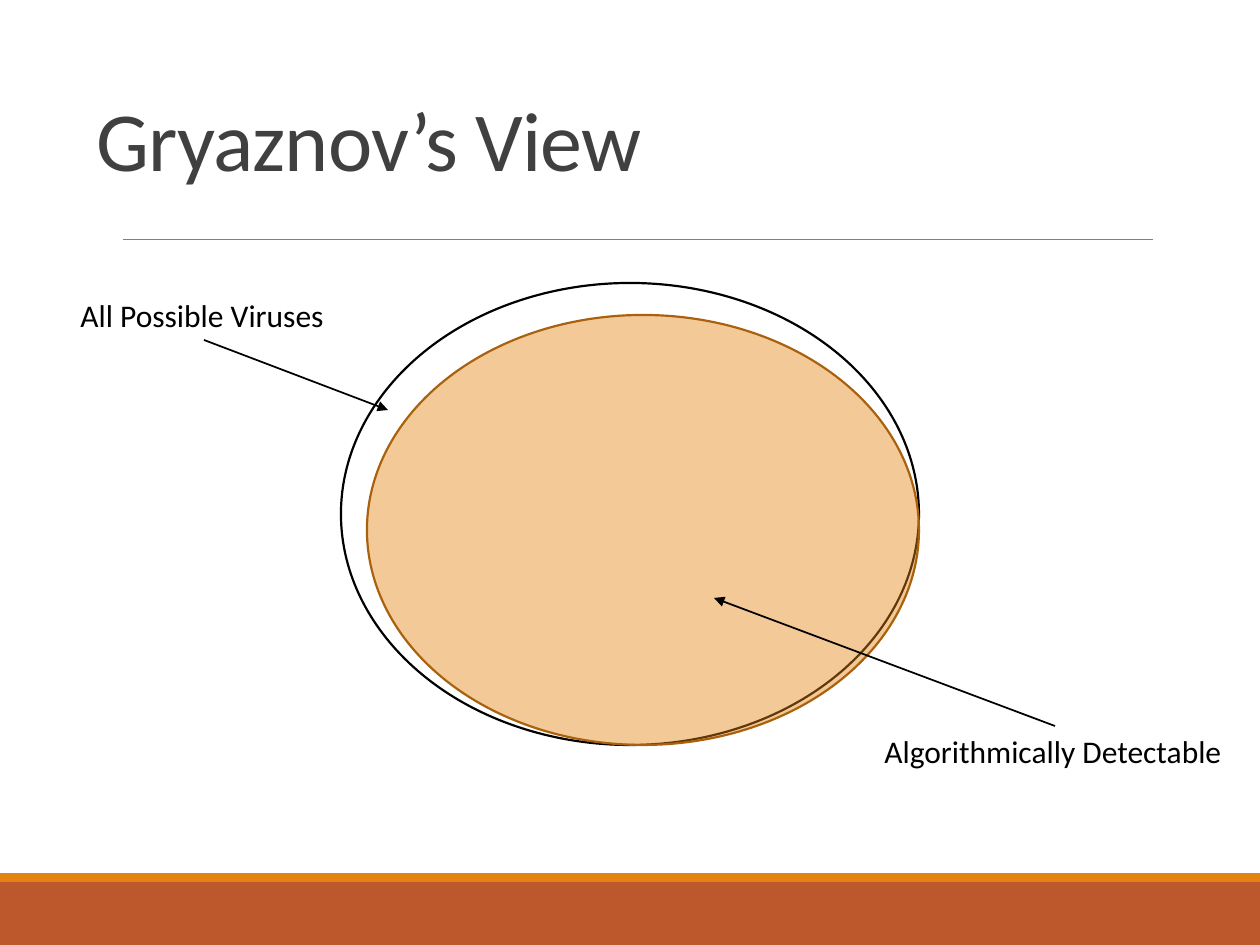
import pptx
import pptx.util
import pptx.dml.color
import pptx.enum.shapes
import pptx.enum.text
import pptx.oxml
import pptx.oxml.ns

RGB = pptx.dml.color.RGBColor
SHAPE = pptx.enum.shapes.MSO_SHAPE
ANCHOR = pptx.enum.text.MSO_ANCHOR

RUST = RGB(0xBD, 0x58, 0x2C)
ORANGE = RGB(0xE4, 0x83, 0x12)
BROWN = RGB(0xA9, 0x61, 0x0D)
GRAY = RGB(0x80, 0x80, 0x80)
DARK = RGB(0x40, 0x40, 0x40)
BLACK = RGB(0, 0, 0)
WHITE = RGB(0xFF, 0xFF, 0xFF)

EMU_PER_PX = 914400 / 126
WIDTH, HEIGHT = 1260, 945


def px(*lengths):
    return [round(n * EMU_PER_PX) for n in lengths]


def add_xml(parent, tag, **attrs):
    child = pptx.oxml.ns.qn(tag)
    el = parent.makeelement(child, attrs)
    parent.append(el)
    return el


def write(tf, text, size=18, color=BLACK, font="Calibri", line_spacing=None, tracking=None):
    p = tf.paragraphs[0]
    p.alignment = pptx.enum.text.PP_ALIGN.LEFT
    if line_spacing:
        p.line_spacing = line_spacing
    r = p.add_run()
    r.text = text
    r.font.name = font
    r.font.size = pptx.util.Pt(size)
    r.font.color.rgb = color
    if tracking:
        r._r.get_or_add_rPr().set("spc", str(round(tracking * 100)))


class Deck:
    def __init__(self):
        self.prs = pptx.Presentation()
        self.prs.slide_width, self.prs.slide_height = px(WIDTH, HEIGHT)
        self.s = self.prs.slides.add_slide(self.prs.slide_layouts[5])

    def title(self, text, x, y, w, h):
        sp = self.s.shapes.title
        sp.left, sp.top, sp.width, sp.height = px(x, y, w, h)
        tf = sp.text_frame
        tf.word_wrap = True
        tf.auto_size = pptx.enum.text.MSO_AUTO_SIZE.NONE
        tf.vertical_anchor = ANCHOR.BOTTOM
        write(tf, text, size=48, color=DARK, line_spacing=0.85, tracking=-0.5)

    def shape(self, kind, x, y, w, h, fill, line=None, opacity=None):
        sp = self.s.shapes.add_shape(kind, *px(x, y, w, h))
        sp.shadow.inherit = False
        sp.fill.solid()
        sp.fill.fore_color.rgb = fill
        if opacity:
            clr = sp._element.spPr.find(".//" + pptx.oxml.ns.qn("a:srgbClr"))
            add_xml(clr, "a:alpha", val=str(opacity * 1000))
        if line is None:
            sp.line.fill.background()
        else:
            sp.line.color.rgb = line
            sp.line.width = pptx.util.Pt(1.25)

    def label(self, text, x, y, w, h):
        tf = self.s.shapes.add_textbox(*px(x, y, w, h)).text_frame
        tf.word_wrap = False
        tf.auto_size = pptx.enum.text.MSO_AUTO_SIZE.SHAPE_TO_FIT_TEXT
        write(tf, text)

    def line(self, x1, y1, x2, y2, color=BLACK, width=1, arrow=False):
        c = self.s.shapes.add_connector(
            pptx.enum.shapes.MSO_CONNECTOR.STRAIGHT, *px(x1, y1, x2, y2))
        c.line.color.rgb = color
        c.line.width = pptx.util.Pt(width)
        if arrow:
            add_xml(c.line._get_or_add_ln(), "a:tailEnd", type="triangle")
        add_xml(c._element.spPr, "a:effectLst")


def main():
    deck = Deck()

    # Footer bands and title rule
    deck.shape(SHAPE.RECTANGLE, 0, 882, WIDTH, 63, RUST)
    deck.shape(SHAPE.RECTANGLE, 0, 873, WIDTH, 9, ORANGE)
    deck.line(123, 239, 1153, 239, color=GRAY, width=0.5)

    # Title
    deck.title("Gryaznov’s View", 84, 38, 1092, 157)

    # Nested sets: all viruses, and the detectable ones inside
    deck.shape(SHAPE.OVAL, 341, 283, 578, 462, WHITE, line=BLACK)
    deck.shape(SHAPE.OVAL, 367, 315, 552, 430, ORANGE, line=BROWN, opacity=43)

    # Labels with their arrows
    deck.label("All Possible Viruses", 68, 290, 271, 50)
    deck.label("Algorithmically Detectable", 872, 726, 367, 50)
    deck.line(204, 340, 388, 410, arrow=True)
    deck.line(1055, 726, 714, 598, arrow=True)

    deck.prs.save("out.pptx")


if __name__ == "__main__":
    main()
